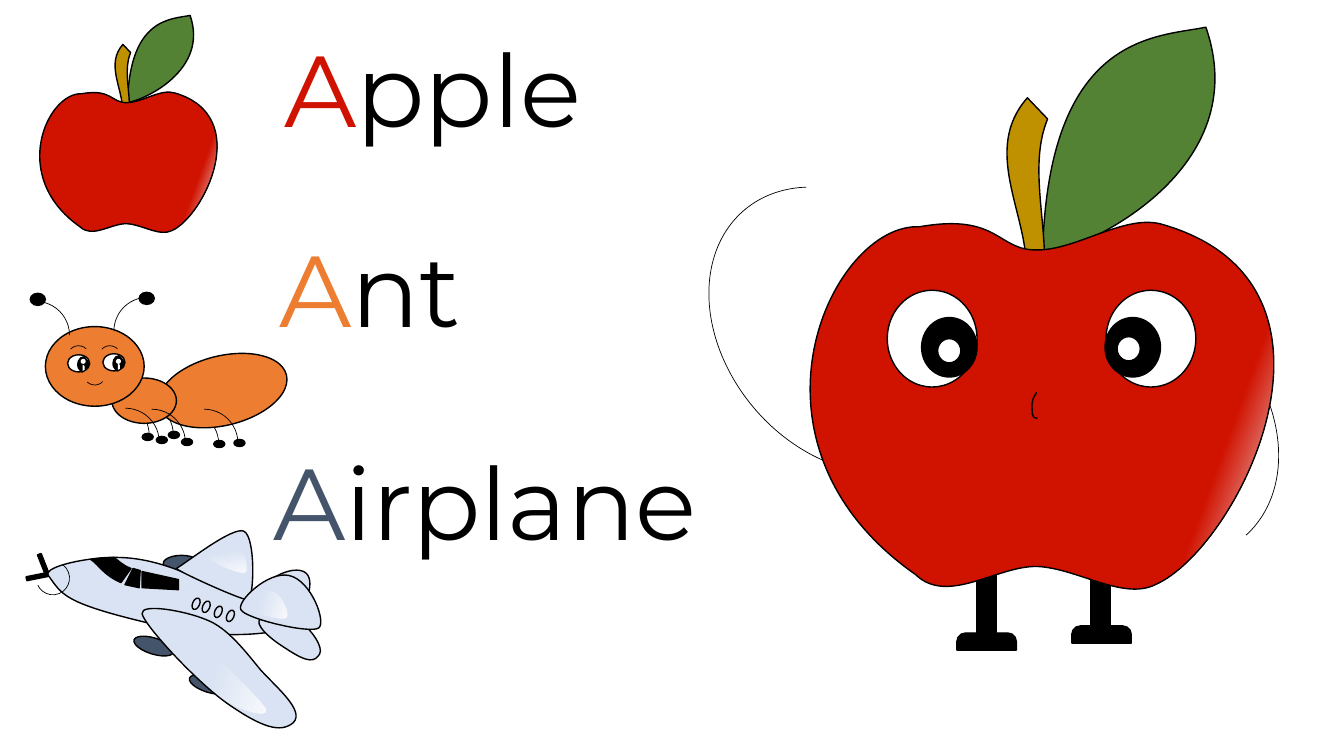
"""Builds a letter A slide with an apple, an ant and an airplane."""
from dataclasses import dataclass

from lxml.etree import SubElement as Sub
from pptx import Presentation
from pptx.dml.color import RGBColor as RGB
from pptx.enum.shapes import MSO_SHAPE as Kind
from pptx.enum.text import MSO_AUTO_SIZE as Auto
from pptx.oxml.ns import qn
from pptx.util import Inches, Pt

BODY = [(9.12, 2.25), (9.91, 2.11, 9.89, 2.49, 10.29, 2.48), (10.69, 2.48, 11.17, 2.11, 11.54, 2.23),
        (13.59, 2.83, 12.28, 5.44, 11.46, 5.8), (11.14, 5.96, 10.69, 5.64, 10.29, 5.62),
        (9.89, 5.61, 9.4, 6.01, 9.08, 5.7), (7.21, 4.39, 8.25, 2.21, 9.12, 2.25)]
LEAF = [(10.34, 2.53), (10.39, 0.32, 11.48, 0.37, 11.96, 0.27), (12.45, 1.68, 10.8, 2.46, 10.34, 2.53)]
STEM = [(10.19, 0.97), (10.39, 1.18), (10.21, 1.62, 10.37, 2.15, 10.36, 2.64), (10.18, 2.66),
        (10.18, 2.1, 9.74, 1.48, 10.19, 0.97)]
NOSE = [(10.28, 3.89), (10.28, 3.9, 10.27, 3.92, 10.26, 3.93), (10.25, 3.95, 10.24, 3.97, 10.24, 3.99),
        (10.23, 4.02, 10.24, 4.08, 10.24, 4.11), (10.24, 4.14, 10.26, 4.15, 10.29, 4.15)]
PUPIL = [(1.18, 3.53), (1.19, 3.54), (1.21, 3.56, 1.23, 3.58, 1.23, 3.6),
         (1.23, 3.63, 1.21, 3.65, 1.19, 3.66), (1.17, 3.68), (1.15, 3.67),
         (1.13, 3.65, 1.12, 3.63, 1.12, 3.61), (1.12, 3.58, 1.13, 3.56, 1.15, 3.54), (1.18, 3.53)]
GLINT = [(1.17, 3.61), (1.19, 3.62), (1.19, 3.63, 1.19, 3.65, 1.19, 3.66), (1.17, 3.67), (1.17, 3.61)]
HULL = [(2.96, 6.24), (3.15, 6.24, 2.61, 6.01, 2.3, 5.89), (2, 5.77, 1.62, 5.53, 1.15, 5.53),
        (0.95, 5.52, 0.42, 5.61, 0.48, 5.71), (0.62, 5.9, 0.62, 5.98, 1.51, 6.19),
        (2.4, 6.4, 2.77, 6.23, 2.96, 6.24)]
FIN = [(2.97, 6.14), (3, 6.06, 3.16, 5.74, 3.01, 5.67), (2.85, 5.6, 2.52, 5.82, 2.52, 5.97),
       (2.51, 5.98, 2.89, 6.19, 2.97, 6.14)]
LOW_FIN = [(3.17, 6.49), (3.21, 6.42, 3.09, 6.25, 3, 6.19), (2.91, 6.13, 2.67, 6.06, 2.62, 6.13),
           (2.5, 6.14, 2.59, 6.28, 2.83, 6.43), (3.07, 6.59, 3.12, 6.56, 3.17, 6.49)]
FAR_WING = [(2.46, 5.95), (2.52, 5.95, 2.54, 5.33, 2.42, 5.27), (2.31, 5.22, 1.88, 5.56, 1.75, 5.64),
            (1.79, 5.68, 2.41, 5.96, 2.46, 5.95)]
WING = [(2.91, 7.17), (3.03, 7.05, 2.73, 6.81, 2.58, 6.64), (2.44, 6.47, 2.26, 6.23, 2.05, 6.15),
        (1.84, 6.06, 1.39, 5.98, 1.41, 6.09), (1.43, 6.2, 1.95, 6.77, 2.27, 6.99),
        (2.59, 7.21, 2.78, 7.28, 2.91, 7.17)]
PANES = [[(1.77, 5.75), (1.41, 5.67), (1.41, 5.83), (1.77, 5.85)],
         [(1.38, 5.83), (1.24, 5.8), (1.32, 5.64), (1.39, 5.66)],
         [(1.3, 5.64), (1.2, 5.6, 1.19, 5.57, 1.13, 5.53), (1.08, 5.54, 1.04, 5.53, 0.9, 5.55),
          (0.99, 5.61, 1.02, 5.7, 1.2, 5.78)]]
TAIL = [(2.87, 5.71), (2.66, 5.66, 2.34, 5.97, 2.39, 6.05), (2.44, 6.14, 3.08, 6.29, 3.16, 6.23),
        (3.24, 6.18, 3.09, 5.76, 2.87, 5.71)]
SHEENS = [(20, [(2.69, 5.86), (2.58, 5.84, 2.42, 5.99, 2.44, 6.04), (2.47, 6.08, 2.8, 6.16, 2.84, 6.13),
                (2.88, 6.1, 2.8, 5.89, 2.69, 5.86)]),
          (20, [(2.13, 6.86), (1.93, 6.67, 1.85, 6.32, 1.93, 6.35), (2.02, 6.38, 2.61, 6.96, 2.64, 7.04),
                (2.67, 7.13, 2.32, 7.05, 2.13, 6.86)]),
          (80, [(2.33, 5.39), (2.43, 5.44, 2.47, 5.66, 2.43, 5.68), (2.38, 5.7, 2.07, 5.57, 2.05, 5.52),
                (2.03, 5.48, 2.22, 5.35, 2.33, 5.39)])]


@dataclass(frozen=True)
class Theme:
    """Holds the colours, font and sizes."""
    ink: str = "000000"
    white: str = "FFFFFF"
    red: str = "D01200"
    green: str = "548235"
    brown: str = "BF9000"
    orange: str = "ED7D31"
    slate: str = "44546A"
    sky: str = "DAE3F3"
    shine: str = "F6F8FC"
    font: str = "Montserrat"
    size: int = 72
    thick: float = 1
    thin: float = 0.5


class Pen:
    """Draws styled elements on the current slide."""
    def __init__(self, slide, look):
        self.slide, self.look, self.spot = slide, look, slide.shapes

    def group(self):
        self.spot = self.slide.shapes.add_group_shape().shapes

    def root(self):
        self.spot = self.slide.shapes

    def paint(self, shape, fill, line):
        shape.shadow.inherit = False
        if fill is None:
            shape.fill.background()
        elif isinstance(fill, str):
            shape.fill.solid()
            shape.fill.fore_color.rgb = RGB.from_string(fill)
        else:
            start, tint, turn = fill
            shape.fill.gradient()
            shape.fill.gradient_angle = 360 - turn
            ends = ((start, tint), (1, self.look.shine))
            for stop, (place, hue) in zip(shape.fill.gradient_stops, ends):
                stop.position, stop.color.rgb = place, RGB.from_string(hue)
        if line:
            shape.line.color.rgb = RGB.from_string(self.look.ink)
            shape.line.width = Pt(line)
        else:
            shape.line.fill.background()

    def form(self, kind, box, fill, turn=0, line=Theme.thick):
        shape = self.spot.add_shape(kind, *map(Inches, box))
        shape.rotation = turn
        self.paint(shape, fill, line)
        return shape

    def oval(self, box, fill, turn=0, line=Theme.thick):
        self.form(Kind.OVAL, box, fill, turn, line)

    def arc(self, box, turn=0, flip=None, start=270):
        shape = self.form(Kind.ARC, box, None, turn, self.look.thin)
        shape.adjustments[0] = start * 0.6
        if flip:
            shape.element.spPr.xfrm.set(flip, "1")

    def free(self, route, fill, at=(0, 0), scale=1, line=Theme.thick, close=True):
        steps = [[(Inches(at[0] + scale * x), Inches(at[1] + scale * y))
                  for x, y in zip(step[::2], step[1::2])] for step in route]
        spots = [steps[0][0]]
        for step in steps[1:]:
            knots = [spots[-1], *step]
            for t in (i / 12 for i in range(1, 13)):
                parts = ((1 - t) ** 3, 3 * t * (1 - t) ** 2, 3 * t * t * (1 - t), t ** 3)
                parts = parts if len(step) == 3 else (1 - t, t)
                spots.append(tuple(sum(w * k[n] for w, k in zip(parts, knots)) for n in (0, 1)))
        low, high = (tuple(f(axis) for axis in zip(*spots)) for f in (min, max))
        maker = self.spot.build_freeform(*low)
        maker.add_line_segments([high], close=close)
        shape = maker.convert_to_shape()
        track = shape.element.spPr.find(".//" + qn("a:path"))
        for part in list(track):
            track.remove(part)
        for i, step in enumerate(steps):
            tag = "a:cubicBezTo" if len(step) == 3 else "a:lnTo" if i else "a:moveTo"
            move = Sub(track, qn(tag))
            for x, y in step:
                Sub(move, qn("a:pt"), x=str(round(x - low[0])), y=str(round(y - low[1])))
        if close:
            Sub(track, qn("a:close"))
        self.paint(shape, fill, line)

    def word(self, box, first, rest, hue):
        frame = self.spot.add_textbox(*map(Inches, box)).text_frame
        frame.word_wrap, frame.auto_size = True, Auto.SHAPE_TO_FIT_TEXT
        for text, tone in ((first, hue), (rest, self.look.ink)):
            run = frame.paragraphs[0].add_run()
            run.text = text
            run.font.name, run.font.size = self.look.font, Pt(self.look.size)
            run.font.color.rgb = RGB.from_string(tone)

    def apple(self, at=(0, 0), scale=1, nudge=(0, 0)):
        self.group()
        self.free(LEAF, self.look.green, (at[0] + nudge[0], at[1] + nudge[1]), scale)
        self.free(STEM, self.look.brown, at, scale)
        self.free(BODY, (0.83, self.look.red, 20), at, scale)
        self.root()

    def ant(self):
        look = self.look
        self.group()
        for x, y in ((0.81, 3.98), (1.05, 3.98), (1.5, 4.07)):
            self.arc((x, y, 0.67, 0.67))
        self.oval((1.56, 3.53, 1.3, 0.69), look.orange, 346.2)
        self.oval((1.11, 3.75, 0.64, 0.45), look.orange)
        self.oval((0.45, 3.24, 0.98, 0.79), look.orange)
        for x, y, flip in ((1.69, 4.06, None), (1.17, 4.06, None), (0.91, 4.05, None),
                           (1.13, 2.95, "flipH"), (0.02, 2.99, None)):
            self.arc((x, y, 0.67, 0.67), flip=flip)
        for x, y in ((1.38, 2.9), (0.3, 2.91)):
            self.oval((x, y, 0.15, 0.12), look.ink)
        for x, y in ((1.41, 4.3), (1.55, 4.33), (1.67, 4.28), (1.8, 4.35), (2.12, 4.37), (2.32, 4.36)):
            self.oval((x, y, 0.11, 0.07), look.ink)
        for x in (0.98, 0.67):
            self.arc((x, 3.43, 0.22, 0.22), 43.5, "flipH")
        for dx, dy in ((0, 0), (-0.35, 0.01)):
            self.oval((1.02 + dx, 3.51 + dy, 0.22, 0.17), look.white)
            self.free(PUPIL, look.ink, (dx, dy))
            self.oval((1.15 + dx, 3.56, 0.05, 0.05), look.white, line=0)
            self.free(GLINT, look.white, (dx, dy), line=0)
        self.arc((0.83, 3.6, 0.22, 0.22), 43.5, "flipV")
        self.root()

    def plane(self):
        look = self.look
        self.group()
        for x, y, turn in ((0.26, 5.7, 348.7), (0.32, 5.58, 68.5)):
            self.form(Kind.ROUNDED_RECTANGLE, (x, y, 0.22, 0.04), look.ink, turn)
        self.oval((1.62, 5.51, 0.36, 0.16), look.slate)
        for route in (HULL, FIN, LOW_FIN, FAR_WING):
            self.free(route, look.sky)
        for x, y in ((1.32, 6.33), (1.87, 6.71)):
            self.oval((x, y, 0.41, 0.16), look.slate, 17.5)
        self.free(WING, look.sky)
        for x, y in ((2.25, 6.05), (2.13, 6.01), (2.01, 5.96), (1.91, 5.93)):
            self.oval((x, y, 0.07, 0.12), look.sky, 24)
        for route in PANES:
            self.free(route, look.ink)
        self.arc((0.36, 5.57, 0.33, 0.33), 128.1, "flipH", 153.01)
        self.free(TAIL, look.sky)
        for turn, route in SHEENS:
            self.free(route, (0.32, look.sky, turn), line=0)
        self.root()

    def hero(self):
        look = self.look
        for x, y in ((10.82, 5.27), (9.69, 5.35)):
            self.form(Kind.RECTANGLE, (x, y, 0.19, 0.99), look.ink)
        self.arc((6.83, 2.08, 3.12, 2.39), 229.8, "flipH", 155.25)
        self.arc((9.75, 2.96, 3.12, 2.39), 47.8, start=165.03)
        self.apple()
        for white, black in ((8.8, 9.14), (10.97, 10.96)):
            self.oval((white, 2.88, 0.89, 0.96), look.white)
            self.oval((black, 3.15, 0.55, 0.59), look.ink)
        self.free(NOSE, None, close=False)
        for x, y in ((9.3, 3.36), (11.08, 3.34)):
            self.oval((x, y, 0.23, 0.24), look.white)
        for x, y in ((9.49, 6.28), (10.63, 6.21)):
            foot = self.form(Kind.ROUND_2_SAME_RECTANGLE, (x, y, 0.59, 0.17), look.ink)
            foot.adjustments[0] = 0.5


deck, look = Presentation(), Theme()
deck.slide_width, deck.slide_height = Inches(13.33), Inches(7.5)
pen = Pen(deck.slides.add_slide(deck.slide_layouts[6]), look)
pen.apple((-2.68, 0.07), 1.76 / 4.6, (-0.01, -0.02))
pen.word((2.72, 0.22, 3.7, 1.31), "A", "pple", look.red)
pen.ant()
pen.word((2.67, 2.2, 2.32, 1.31), "A", "nt", look.orange)
pen.plane()
pen.word((2.61, 4.31, 4.92, 1.31), "A", "irplane", look.slate)
pen.hero()
deck.save("out.pptx")
